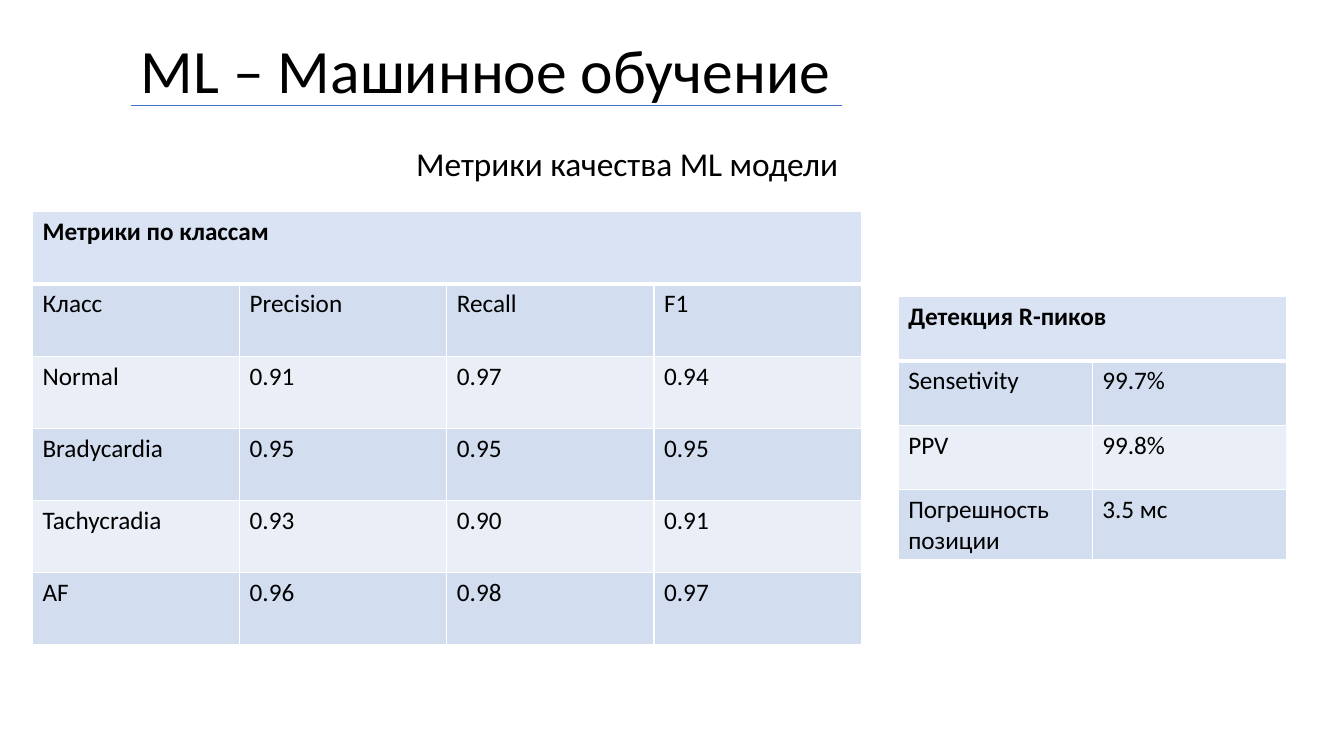
from lxml.etree import SubElement as Sub
from pptx import Presentation
from pptx.dml.color import RGBColor
from pptx.enum.shapes import MSO_CONNECTOR as Link
from pptx.enum.text import MSO_ANCHOR as Anchor
from pptx.oxml.ns import qn
from pptx.util import Pt

BLACK = RGBColor(0, 0, 0)
WHITE = RGBColor(255, 255, 255)
BLUE = RGBColor(0x44, 0x72, 0xC4)
HEAD = RGBColor(0xDA, 0xE3, 0xF3)
DARK = RGBColor(0xD2, 0xDE, 0xEF)
LIGHT = RGBColor(0xEA, 0xEF, 0xF7)

CLASSES = [
    ["Метрики по классам"],
    ["Класс", "Precision", "Recall", "F1"],
    ["Normal", "0.91", "0.97", "0.94"],
    ["Bradycardia", "0.95", "0.95", "0.95"],
    ["Tachycradia", "0.93", "0.90", "0.91"],
    ["AF", "0.96", "0.98", "0.97"],
]
PEAKS = [
    ["Детекция R-пиков"],
    ["Sensetivity", "99.7%"],
    ["PPV", "99.8%"],
    ["Погрешность позиции", "3.5 мс"],
]


def style(frame, size, bold=False):
    for para in frame.paragraphs:
        for run in para.runs:
            font = run.font
            font.name, font.size, font.bold = "Calibri", Pt(size), bold
            font.color.rgb = BLACK


def add_text(slide, text, box, size, spacing, anchor):
    frame = slide.shapes.add_textbox(*map(Pt, box)).text_frame
    frame.word_wrap = True
    frame.vertical_anchor = anchor
    frame.text = text
    frame.paragraphs[0].line_spacing = spacing
    style(frame, size)


def add_rule(slide, left, right, y):
    rule = slide.shapes.add_connector(
        Link.STRAIGHT, Pt(left), Pt(y), Pt(right), Pt(y))
    rule.line.color.rgb = BLUE
    rule.line.width = Pt(0.5)
    Sub(rule._element.spPr, qn("a:effectLst"))


def add_edges(cell, row):
    """Draw white cell borders, with a thick one below the header row."""
    props = cell._tc.get_or_add_tcPr()
    widths = {"L": 1, "R": 1, "T": 3 if row == 1 else 1, "B": 1 if row else 3}
    for side, width in widths.items():
        line = Sub(props, qn(f"a:ln{side}"), w=str(Pt(width)))
        fill = Sub(line, qn("a:solidFill"))
        Sub(fill, qn("a:srgbClr"), val=str(WHITE))


def add_grid(slide, rows, left, top, width, height):
    """Add a banded table whose first row is one merged header."""
    count = len(rows[1])
    table = slide.shapes.add_table(
        len(rows), count, Pt(left), Pt(top),
        Pt(width * count), Pt(height * len(rows))).table
    for r, texts in enumerate(rows):
        for c in range(count):
            cell = table.cell(r, c)
            add_edges(cell, r)
            cell.fill.solid()
            shade = DARK if r % 2 else LIGHT
            cell.fill.fore_color.rgb = shade if r else HEAD
            if c < len(texts):
                cell.text_frame.text = texts[c]
                style(cell.text_frame, 18, bold=r == 0)
    table.cell(0, 0).merge(table.cell(0, count - 1))


def main():
    deck = Presentation()
    deck.slide_width, deck.slide_height = Pt(960), Pt(540)
    slide = deck.slides.add_slide(deck.slide_layouts[6])
    add_text(slide, "ML – Машинное обучение", (93.6, 0, 828, 104.4),
             44, 0.9, Anchor.MIDDLE)
    add_text(slide, "Метрики качества ML модели", (290.2, 104.4, 332, 37.4),
             23.8, 0.8, Anchor.TOP)
    add_rule(slide, 93.6, 601.2, 75.6)
    add_grid(slide, CLASSES, 23.2, 151.2, 148, 51.6)
    add_grid(slide, PEAKS, 641.6, 211.7, 138.6, 46)
    deck.save("out.pptx")


if __name__ == "__main__":
    main()
